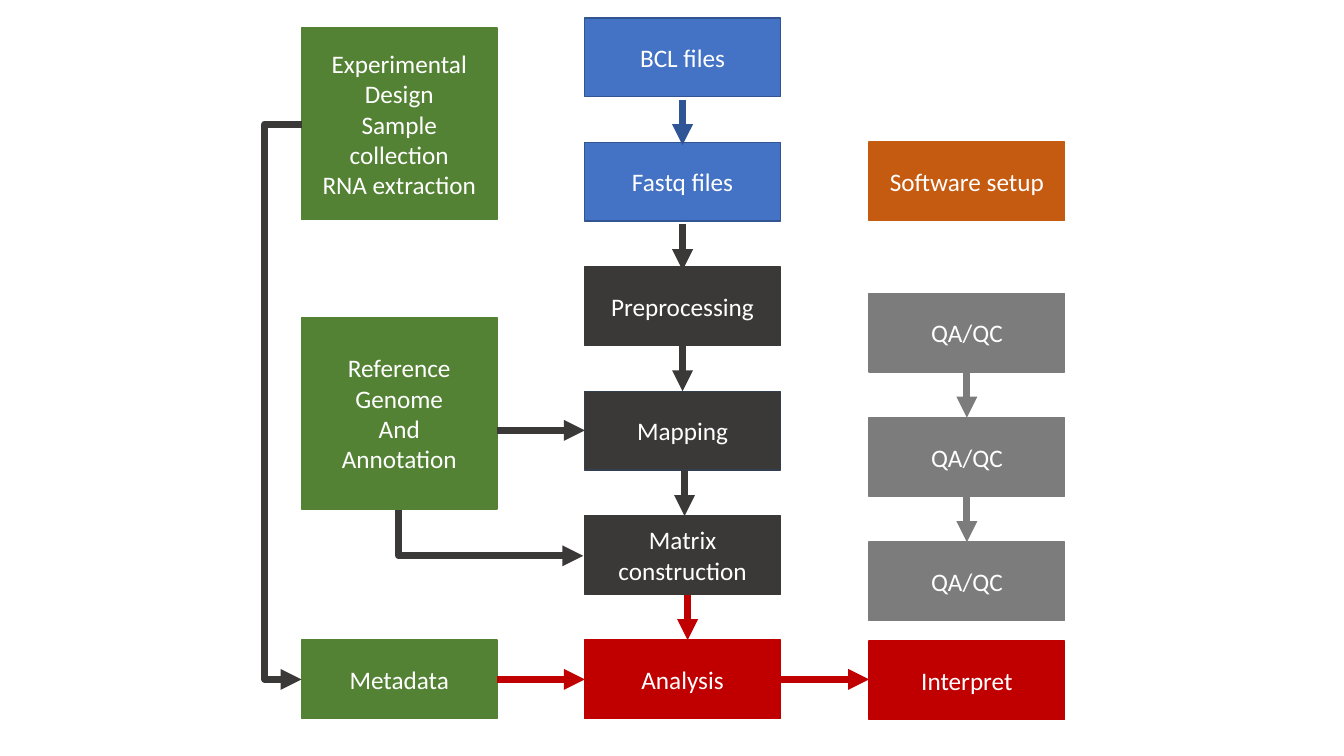
import pptx
import pptx.util
import pptx.dml.color
import pptx.enum.shapes
import pptx.enum.text
import pptx.oxml
import pptx.oxml.ns
from pptx.util import Inches

THEME = {
    "font": "Calibri", "size": 18, "border": 1, "arrow": 5,
    "white": "FFFFFF", "green": "548235", "blue": "4472C4",
    "blue edge": "325491", "blue arrow": "2F5597", "orange": "C55A11",
    "dark": "3B3838", "slate": "333F50", "gray": "7C7C7C", "red": "C00000",
}
LEFT, MIDDLE, RIGHT = 2.99, 5.8, 8.62
BOX_W, BOX_H, TALL_H = 1.94, 0.78, 1.9
TOP, BOTTOM, WEST, EAST = 0, 2, 1, 3

# Boxes: name, text, left, top, height, fill, border
BOXES = [
    ("metadata", "Metadata", LEFT, 6.35, BOX_H, "green", "green"),
    ("reference", "Reference Genome\nAnd\nAnnotation", LEFT, 3.15, TALL_H, "green", "green"),
    ("design", "Experimental Design\nSample collection\nRNA extraction", LEFT, 0.28, TALL_H, "green", "green"),
    ("software", "Software setup", RIGHT, 1.41, BOX_H, "orange", "orange"),
    ("interpret", "Interpret", RIGHT, 6.36, BOX_H, "red", "red"),
]
PIPELINE = [
    ("bcl", "BCL files", "blue", "blue edge"),
    ("fastq", "Fastq files", "blue", "blue edge"),
    ("preprocessing", "Preprocessing", "dark", "dark"),
    ("mapping", "Mapping", "dark", "slate"),
    ("matrix", "Matrix construction", "dark", "dark"),
    ("analysis", "Analysis", "red", "red"),
]
QUALITY = ["qc1", "qc2", "qc3"]
STEP = 1.234
BOXES += [(name, text, MIDDLE, 0.18 + i * STEP, BOX_H, fill, edge)
          for i, (name, text, fill, edge) in enumerate(PIPELINE)]
BOXES += [(name, "QA/QC", RIGHT, 2.91 + i * STEP, BOX_H, "gray", "gray")
          for i, name in enumerate(QUALITY)]

# Arrows joined to box sides: from, side, to, side, colour
JOINED = [
    ("qc1", BOTTOM, "qc2", TOP, "gray"),
    ("qc2", BOTTOM, "qc3", TOP, "gray"),
    ("preprocessing", BOTTOM, "mapping", TOP, "dark"),
    ("metadata", EAST, "analysis", WEST, "red"),
]
# Arrows beside the side centres: x1, y1, x2, y2, colour
FREE = [
    (6.77, 0.99, 6.77, 1.44, "blue arrow"),
    (6.77, 2.22, 6.77, 2.68, "dark"),
    (6.79, 4.66, 6.79, 5.12, "dark"),
    (6.82, 5.9, 6.82, 6.35, "red"),
    (4.93, 4.27, 5.8, 4.27, "dark"),
    (7.74, 6.74, 8.62, 6.74, "red"),
]
# Elbows: preset, left, top, width, height, rotation, flip, bend in percent
ELBOWS = [
    ("bentConnector2", 4.64, 4.37, 0.46, 1.83, 270, "flipH", None),
    ("bentConnector3", 2.99, 1.23, 0.01, 5.51, 180, "flipV", 3800),
]


def color(name):
    return pptx.dml.color.RGBColor.from_string(THEME[name])


def add_box(shapes, text, left, top, height, fill, edge):
    s = shapes.add_shape(pptx.enum.shapes.MSO_SHAPE.RECTANGLE, Inches(left),
                         Inches(top), Inches(BOX_W), Inches(height))
    s.shadow.inherit = False
    s.fill.solid()
    s.fill.fore_color.rgb = color(fill)
    s.line.color.rgb = color(edge)
    s.line.width = pptx.util.Pt(THEME["border"])
    tf = s.text_frame
    tf.word_wrap = True
    tf.vertical_anchor = pptx.enum.text.MSO_ANCHOR.MIDDLE
    tf.text = text
    for p in tf.paragraphs:
        p.alignment = pptx.enum.text.PP_ALIGN.CENTER
        for r in p.runs:
            r.font.name = THEME["font"]
            r.font.size = pptx.util.Pt(THEME["size"])
            r.font.color.rgb = color("white")
    return s


def add_arrow(shapes, kind, x1, y1, x2, y2, tone):
    s = shapes.add_connector(kind, Inches(x1), Inches(y1), Inches(x2), Inches(y2))
    s.line.color.rgb = color(tone)
    s.line.width = pptx.util.Pt(THEME["arrow"])
    ns = pptx.oxml.ns.nsdecls("a")
    s.line._get_or_add_ln().append(
        pptx.oxml.parse_xml(f'<a:tailEnd {ns} type="triangle"/>'))
    s._element.spPr.append(pptx.oxml.parse_xml(f"<a:effectLst {ns}/>"))
    return s


def add_elbow(shapes, preset, left, top, width, height, turn, flip, bend):
    s = add_arrow(shapes, pptx.enum.shapes.MSO_CONNECTOR.ELBOW,
                  left, top, left + width, top + height, "dark")
    qn = pptx.oxml.ns.qn
    xfrm = s._element.spPr.find(qn("a:xfrm"))
    xfrm.set("rot", str(turn * 60000))
    xfrm.set(flip, "1")
    geometry = s._element.spPr.find(qn("a:prstGeom"))
    geometry.set("prst", preset)
    if bend:
        guide = pptx.oxml.parse_xml(
            f'<a:gd {pptx.oxml.ns.nsdecls("a")} name="adj1" fmla="val {bend * 1000}"/>')
        geometry.find(qn("a:avLst")).append(guide)


def main():
    prs = pptx.Presentation()
    prs.slide_width, prs.slide_height = Inches(13.33), Inches(7.5)
    shapes = prs.slides.add_slide(prs.slide_layouts[6]).shapes
    straight = pptx.enum.shapes.MSO_CONNECTOR.STRAIGHT

    # Boxes
    boxes = {name: add_box(shapes, *rest) for name, *rest in BOXES}

    # Straight arrows
    for start, side1, end, side2, tone in JOINED:
        s = add_arrow(shapes, straight, 0, 0, 1, 1, tone)
        s.begin_connect(boxes[start], side1)
        s.end_connect(boxes[end], side2)
    for arrow in FREE:
        add_arrow(shapes, straight, *arrow)

    # Elbow arrows
    for elbow in ELBOWS:
        add_elbow(shapes, *elbow)

    prs.save("out.pptx")


if __name__ == "__main__":
    main()
